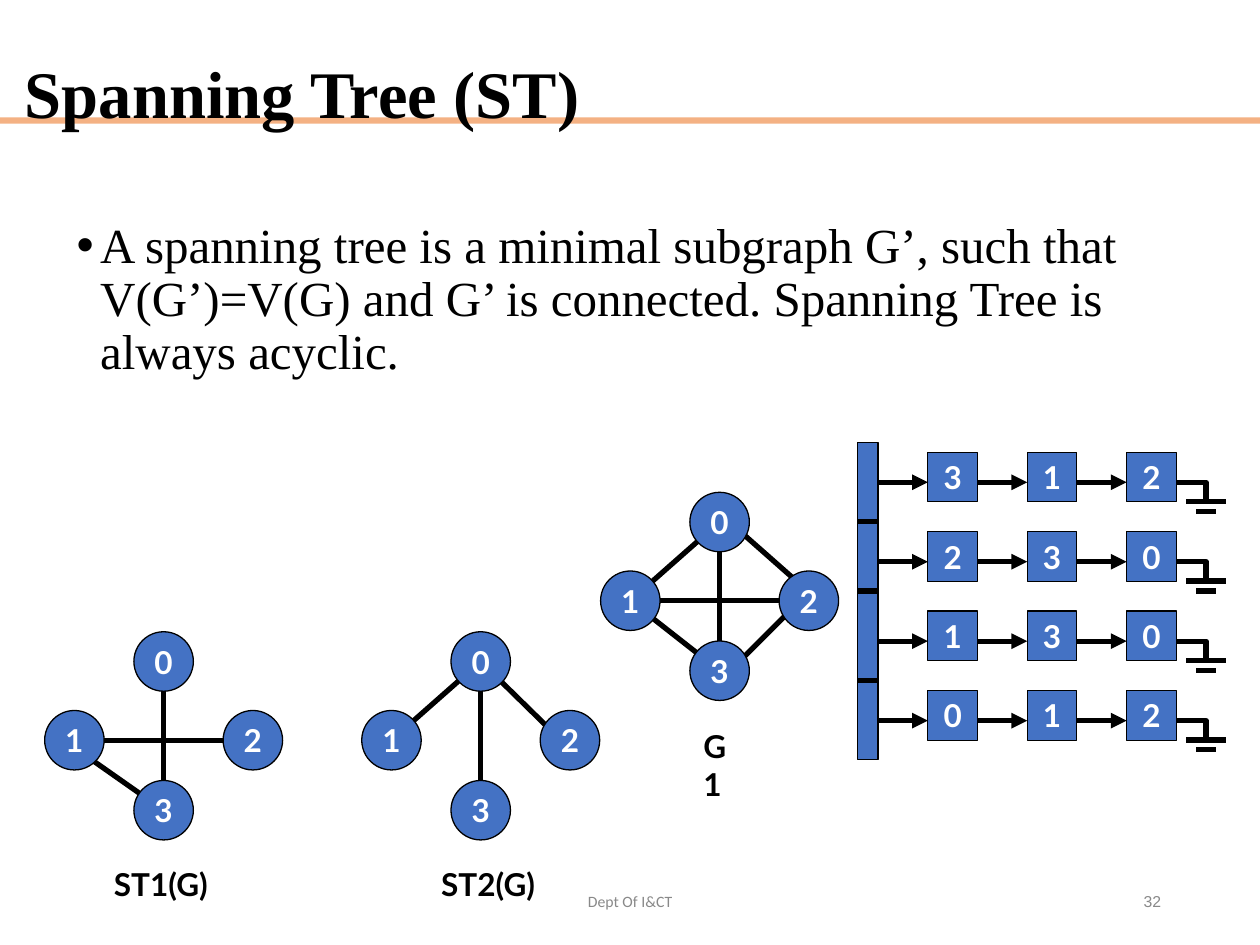
from dataclasses import dataclass

from lxml.etree import SubElement
from pptx import Presentation
from pptx.dml.color import RGBColor
from pptx.enum.shapes import MSO_CONNECTOR as Connector, MSO_SHAPE as Shape
from pptx.enum.text import MSO_ANCHOR as Anchor, MSO_AUTO_SIZE as AutoSize, PP_ALIGN as Align
from pptx.oxml.ns import qn
from pptx.util import Pt


@dataclass(frozen=True)
class Theme:
    black: str = "000000"
    white: str = "FFFFFF"
    blue: str = "4472C4"
    band: str = "F4B183"
    grey: str = "898989"
    serif: str = "Times New Roman"
    label: str = "Lato"
    title_size: float = 38
    body_size: float = 28
    label_size: float = 18
    footer_size: float = 9
    outline: float = 0.75
    stroke: float = 3


THEME = Theme()

# Offsets from the centre of the top node; the node's label is its index.
NODE_OFFSETS = [(0, 0), (-51, 45), (51, 45), (0, 85)]
NODE_SIZE = 34

# Each graph: centre of its top node, and its edges as offsets x1, y1, x2, y2.
GRAPHS = [
    ((93.5, 378), [(0, 5, 0, 80), (0, 85, -57, 45), (-51, 45, 45, 45)]),
    ((274.7, 378), [(0, 0, 0, 85), (0, 0, -51, 45), (0, 0, 51, 50)]),
    ((411.2, 298.3), [(0, 0, 0, 85), (-51, 45, 51, 45), (0, 0, -51, 45),
                      (-51, 45, 0, 85), (0, -5, 51, 40), (51, 40, 6, 85)]),
]

ADJACENCY = ["312", "230", "130", "012"]
HEAD_LEFT, HEAD_TOP, HEAD_WIDTH, HEAD_HEIGHT = 490.2, 252.8, 11.6, 181.4
HEAD_DIVIDERS = [298.1, 337.8, 388.8]
CELL_SIZE = 28.4
CELL_PITCH = 2 * CELL_SIZE
ROW_TOP, ROW_PITCH = 258.4, 45.4


def style_text(para, text, size, color, font, bold=False, align=Align.LEFT):
    para.text = text
    para.alignment = align
    for span in para.runs:
        span.font.size = Pt(size)
        span.font.name = font
        span.font.bold = bold
        span.font.color.rgb = RGBColor.from_string(color)


def add_text(page, left, top, width, height, text, size, color, font,
             bold=False, align=Align.LEFT, anchor=Anchor.TOP, wrap=True):
    box = page.shapes.add_textbox(Pt(left), Pt(top), Pt(width), Pt(height))
    frame = box.text_frame
    frame.word_wrap = wrap
    frame.vertical_anchor = anchor
    style_text(frame.paragraphs[0], text, size, color, font, bold, align)
    return box


def add_block(page, kind, left, top, width, height, fill, label="", outlined=True):
    block = page.shapes.add_shape(kind, Pt(left), Pt(top), Pt(width), Pt(height))
    block.shadow.inherit = False
    block.fill.solid()
    block.fill.fore_color.rgb = RGBColor.from_string(fill)
    if outlined:
        block.line.color.rgb = RGBColor.from_string(THEME.black)
        block.line.width = Pt(THEME.outline)
    else:
        block.line.fill.background()
    if label:
        frame = block.text_frame
        frame.word_wrap = False
        frame.vertical_anchor = Anchor.MIDDLE
        style_text(frame.paragraphs[0], label, THEME.label_size, THEME.white,
                   THEME.label, True, Align.CENTER)
    return block


def add_line(page, x1, y1, x2, y2, arrow=False):
    line = page.shapes.add_connector(Connector.STRAIGHT, Pt(x1), Pt(y1), Pt(x2), Pt(y2))
    line.line.color.rgb = RGBColor.from_string(THEME.black)
    line.line.width = Pt(THEME.stroke)
    if arrow:
        SubElement(line.line._get_or_add_ln(), qn("a:tailEnd"), type="triangle")
    SubElement(line.element.spPr, qn("a:effectLst"))


def add_title(page, text):
    title = page.shapes.title
    title.left, title.top, title.width, title.height = Pt(7), Pt(3), Pt(620.6), Pt(104.4)
    frame = title.text_frame
    frame.auto_size = AutoSize.NONE
    frame.vertical_anchor = Anchor.MIDDLE
    para = frame.paragraphs[0]
    style_text(para, text, THEME.title_size, THEME.black, THEME.serif, True)
    para.line_spacing = 0.9
    band = add_block(page, Shape.RECTANGLE, 0, 67, 720, 3.6, THEME.band, outlined=False)
    title.element.addprevious(band.element)


def add_bullet_text(page, text):
    box = add_text(page, 36.7, 123, 621.4, 342.7, text, THEME.body_size,
                   THEME.black, THEME.serif)
    para = box.text_frame.paragraphs[0]
    para.line_spacing = 0.9
    props = para._p.get_or_add_pPr()
    props.set("marL", str(Pt(13.5)))
    props.set("indent", str(Pt(-13.5)))
    SubElement(props, qn("a:buFont"), typeface="Arial")
    SubElement(props, qn("a:buChar"), char="•")


def add_graph(page, center, edges):
    x, y = center
    for x1, y1, x2, y2 in edges:
        add_line(page, x + x1, y + y1, x + x2, y + y2)
    for index, (dx, dy) in enumerate(NODE_OFFSETS):
        add_block(page, Shape.OVAL, x + dx - NODE_SIZE / 2, y + dy - NODE_SIZE / 2,
                  NODE_SIZE, NODE_SIZE, THEME.blue, str(index))


def add_ground(page, x, y):
    """Draw the end-of-list symbol, starting at the last cell's right edge."""
    builder = page.shapes.build_freeform(Pt(x), Pt(y))
    builder.add_line_segments([(Pt(x + 17), Pt(y)), (Pt(x + 17), Pt(y + 11))], close=False)
    lead = builder.convert_to_shape()
    lead.shadow.inherit = False
    lead.fill.background()
    lead.line.color.rgb = RGBColor.from_string(THEME.black)
    lead.line.width = Pt(THEME.stroke)
    for half_width, drop in ((11.2, 11), (5.5, 16.7)):
        add_line(page, x + 17 - half_width, y + drop, x + 17 + half_width, y + drop)


def add_adjacency_lists(page):
    add_block(page, Shape.RECTANGLE, HEAD_LEFT, HEAD_TOP, HEAD_WIDTH, HEAD_HEIGHT, THEME.blue)
    start = HEAD_LEFT + HEAD_WIDTH
    for y in HEAD_DIVIDERS:
        add_line(page, HEAD_LEFT, y, start, y)
    for row, labels in enumerate(ADJACENCY):
        top = ROW_TOP + row * ROW_PITCH
        link_y = top + 17.2
        for column, label in enumerate(labels):
            left = start + column * CELL_PITCH
            add_block(page, Shape.RECTANGLE, left + CELL_SIZE, top,
                      CELL_SIZE, CELL_SIZE, THEME.blue, label)
            add_line(page, left, link_y, left + CELL_SIZE, link_y, arrow=True)
        add_ground(page, start + len(labels) * CELL_PITCH, link_y)


def add_caption(page, left, top, width, text, wrap=False):
    add_text(page, left, top, width, 28.8, text, THEME.label_size, THEME.black,
             THEME.label, True, wrap=wrap)


def add_footer(page, left, width, text, font, align):
    add_text(page, left, 500.5, width, 28.8, text, THEME.footer_size, THEME.grey,
             font, align=align, anchor=Anchor.MIDDLE)


def main():
    deck = Presentation()
    deck.slide_width, deck.slide_height = Pt(720), Pt(540)
    page = deck.slides.add_slide(deck.slide_layouts[5])
    add_title(page, "Spanning Tree (ST)")
    add_bullet_text(page, "A spanning tree is a minimal subgraph G’, such that "
                          "V(G’)=V(G) and G’ is connected. Spanning Tree is always acyclic.")
    add_footer(page, 238.5, 243, "Dept Of I&CT", "Calibri", Align.CENTER)
    add_footer(page, 508.5, 162, "32", "Arial", Align.RIGHT)
    add_adjacency_lists(page)
    for center, edges in GRAPHS:
        add_graph(page, center, edges)
    add_caption(page, 394.8, 412, 34, "G1", wrap=True)
    add_caption(page, 58, 491, 70, "ST1(G)")
    add_caption(page, 245, 491, 70, "ST2(G)")
    deck.save("out.pptx")


if __name__ == "__main__":
    main()
